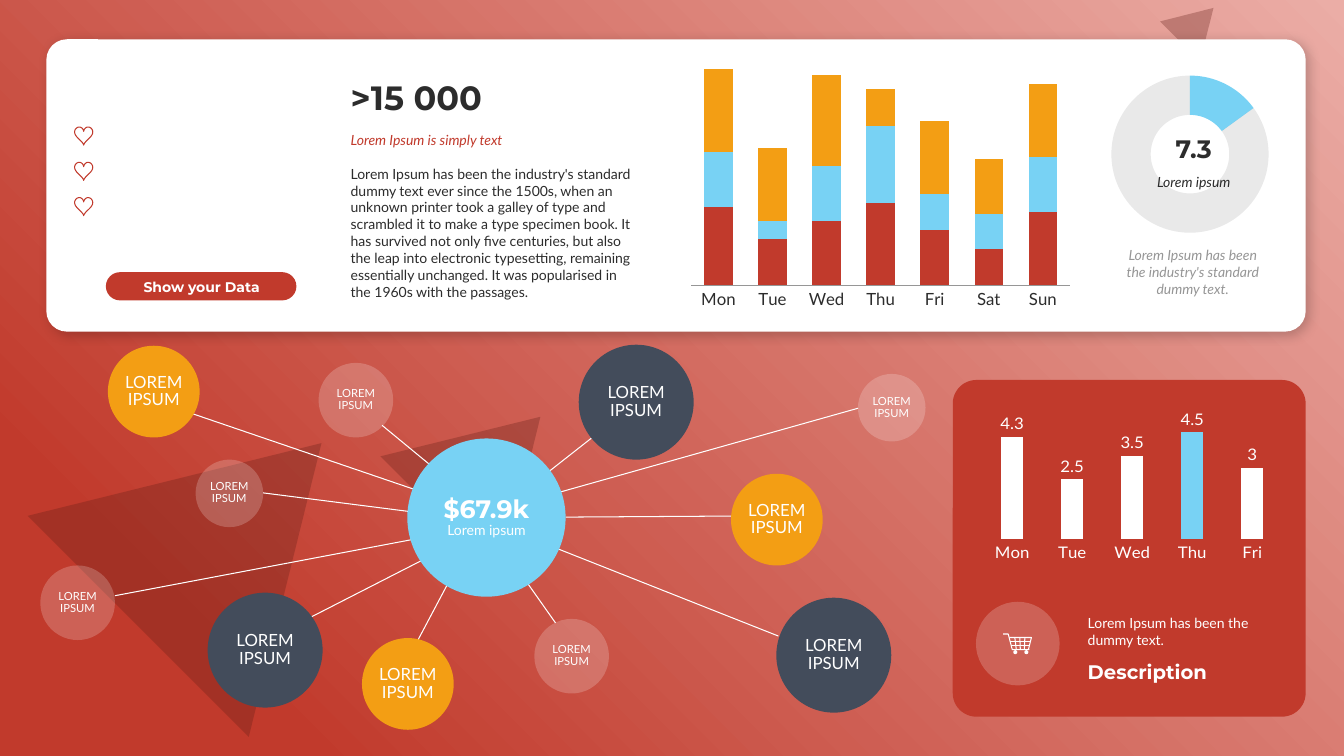
"""Build a red dashboard slide with a hub diagram and three charts."""
from dataclasses import dataclass
from math import cos, pi, sin

from lxml import etree
from pptx import Presentation
from pptx.chart.chart import Chart
from pptx.chart.data import CategoryChartData
from pptx.dml.color import RGBColor
from pptx.enum.chart import XL_CHART_TYPE, XL_LABEL_POSITION, XL_TICK_MARK
from pptx.enum.shapes import MSO_CONNECTOR, MSO_SHAPE
from pptx.enum.text import MSO_ANCHOR, MSO_AUTO_SIZE, PP_ALIGN
from pptx.oxml.ns import qn
from pptx.shapes.autoshape import Shape
from pptx.shapes.shapetree import SlideShapes
from pptx.util import Inches, Pt

STACKED, COLUMN, RING = XL_CHART_TYPE.COLUMN_STACKED, XL_CHART_TYPE.COLUMN_CLUSTERED, XL_CHART_TYPE.DOUGHNUT
OUTSIDE, NO_TICK = XL_LABEL_POSITION.OUTSIDE_END, XL_TICK_MARK.NONE
STRAIGHT = MSO_CONNECTOR.STRAIGHT
RECT, ROUND, OVAL, WEDGE = (MSO_SHAPE.RECTANGLE, MSO_SHAPE.ROUNDED_RECTANGLE,
                            MSO_SHAPE.OVAL, MSO_SHAPE.ISOSCELES_TRIANGLE)
TOP, MIDDLE, BOTTOM = MSO_ANCHOR.TOP, MSO_ANCHOR.MIDDLE, MSO_ANCHOR.BOTTOM
LEFT, CENTER = PP_ALIGN.LEFT, PP_ALIGN.CENTER
FIT = MSO_AUTO_SIZE.SHAPE_TO_FIT_TEXT
Box = tuple[float, float, float, float]
Point = tuple[float, float]


@dataclass(frozen=True)
class Theme:
    red: str = "C13A2C"
    rose: str = "EBADA6"
    wine: str = "601D16"
    blue: str = "78D2F4"
    amber: str = "F39E14"
    slate: str = "434C5B"
    ink: str = "2C2C2C"
    gray: str = "969696"
    white: str = "FFFFFF"
    body: str = "Lato"
    head: str = "Montserrat"
    tiny: int = 8
    small: int = 10
    medium: int = 12
    large: int = 14
    big: int = 18
    huge: int = 24
    hair: float = 0.75


T = Theme()


@dataclass(frozen=True)
class Label:
    box: Box
    text: str
    color: str
    size: int = T.small
    bold: bool = False
    italic: bool = False
    align: PP_ALIGN = LEFT
    anchor: MSO_ANCHOR = TOP


@dataclass(frozen=True)
class Kind:
    fill: str
    size: int
    alpha: int = 100


@dataclass(frozen=True)
class Node:
    left: float
    top: float
    width: float
    kind: Kind
    tip: Point
    root: Point


DARK, GOLD, GLASS = Kind(T.slate, T.medium), Kind(T.amber, T.medium), Kind(T.white, T.tiny, 20)
NODES = [
    Node(5.74, 3.42, 1.14, DARK, (5.9, 4.32), (5.34, 4.76)),
    Node(3.16, 3.6, 0.74, GLASS, (3.79, 4.22), (4.36, 4.69)),
    Node(1.07, 3.43, 0.91, GOLD, (1.75, 4.05), (4.27, 4.91)),
    Node(1.94, 4.56, 0.67, GLASS, (2.61, 4.89), (4.18, 5.09)),
    Node(0.4, 5.61, 0.74, GLASS, (1.14, 5.91), (4.21, 5.33)),
    Node(3.59, 6.33, 0.91, GOLD, (4.14, 6.36), (4.5, 5.68)),
    Node(2.06, 5.88, 1.14, DARK, (3.01, 6.16), (4.3, 5.5)),
    Node(7.7, 5.93, 1.14, DARK, (7.72, 6.31), (5.42, 5.4)),
    Node(8.51, 3.71, 0.67, GLASS, (8.51, 4.05), (5.42, 4.92)),
    Node(7.25, 4.7, 0.91, GOLD, (7.26, 5.12), (5.61, 5.13)),
    Node(5.3, 6.14, 0.74, GLASS, (5.51, 6.18), (5.15, 5.67)),
]
STORY = ("Lorem Ipsum has been the industry's standard dummy text ever since the 1500s, when an unknown "
         "printer took a galley of type and scrambled it to make a type specimen book. It has survived not "
         "only five centuries, but also the leap into electronic typesetting, remaining essentially "
         "unchanged. It was popularised in the 1960s with the passages.")
LABELS = [
    Label((3.38, 1.26, 3.02, 0.27), "Lorem Ipsum is simply text", T.red, italic=True),
    Label((3.38, 0.71, 3.02, 0.5), ">15 000", T.ink, T.huge, bold=True, anchor=BOTTOM),
    Label((3.38, 1.59, 3.02, 1.45), STORY, T.ink),
    Label((1.13, 2.71, 1.74, 0.27), "Show your Data", T.white, bold=True, align=CENTER, anchor=MIDDLE),
    Label((11.29, 1.67, 1.1, 0.27), "Lorem ipsum", T.ink, italic=True, align=CENTER),
    Label((11.29, 1.27, 1.1, 0.4), "7.3", T.ink, T.big, bold=True, align=CENTER, anchor=BOTTOM),
    Label((11.03, 2.4, 1.6, 0.61), "Lorem Ipsum has been the industry's standard dummy text.",
          T.gray, italic=True, align=CENTER),
    Label((10.69, 6.05, 2.23, 0.44), "Lorem Ipsum has been the dummy text.", T.white),
    Label((10.69, 6.49, 2.23, 0.34), "Description", T.white, T.large, bold=True, anchor=BOTTOM),
]
WEDGES = [(0.73, 4.02, 3.1, 2.57), (4.02, 3.93, 1.69, 1.4), (11.59, 0.01, 0.56, 0.47)]
CART = [[(0, 0.01), (0.05, 0.01), (0.09, 0.165), (0.26, 0.165)],
        [(0.06, 0.045), (0.28, 0.045), (0.25, 0.165)],
        [(0.07, 0.085), (0.27, 0.085)], [(0.08, 0.125), (0.26, 0.125)],
        *[[(0.115 + 0.05 * i, 0.045), (0.13 + 0.04 * i, 0.165)] for i in range(3)]]


def veil(color: etree.ElementBase, pct: int) -> None:
    """Make a colour element partly transparent."""
    etree.SubElement(color, qn("a:alpha")).set("val", str(pct * 1000))


def draw(shapes: SlideShapes, form: MSO_SHAPE, box: Box, fill: str, alpha: int = 100) -> Shape:
    """Add a flat preset shape without outline."""
    item = shapes.add_shape(form, *map(Inches, box))
    item.shadow.inherit = False
    item.line.fill.background()
    item.fill.solid()
    item.fill.fore_color.rgb = RGBColor.from_string(fill)
    if alpha < 100:
        veil(item.element.spPr.find(qn("a:solidFill"))[0], alpha)
    return item


def backdrop(shapes: SlideShapes) -> None:
    """Add the radial backdrop and its dark triangles."""
    base = draw(shapes, RECT, (0, 0, 13.33, 7.5), T.red)
    base.fill.gradient()
    for stop, tint, place in zip(base.fill.gradient_stops, (T.rose, T.red), (0, 0.85)):
        stop.color.rgb, stop.position = RGBColor.from_string(tint), place
    grad = base.element.spPr.find(qn("a:gradFill"))
    grad.remove(grad.find(qn("a:lin")))
    ring = etree.SubElement(grad, qn("a:path"), {"path": "circle"})
    etree.SubElement(ring, qn("a:fillToRect"), {"l": "100000", "b": "100000"})
    etree.SubElement(grad, qn("a:tileRect"), {"t": "-100000", "r": "-100000"})
    for box in WEDGES:
        draw(shapes, WEDGE, box, T.wine, 30).rotation = 45


def card(shapes: SlideShapes, box: Box, fill: str, bend: float) -> Shape:
    """Add a rounded card."""
    item = draw(shapes, ROUND, box, fill)
    item.adjustments[0] = bend
    return item


def shade(item: Shape) -> None:
    """Give a card its soft shadow."""
    drop = etree.SubElement(item.element.spPr.find(qn("a:effectLst")), qn("a:outerShdw"),
                            {"blurRad": str(Pt(8)), "dist": str(Pt(3)), "dir": "2700000",
                             "algn": "tl", "rotWithShape": "0"})
    veil(etree.SubElement(drop, qn("a:srgbClr"), {"val": "000000"}), 20)


def write(shapes: SlideShapes, label: Label) -> None:
    """Add a text box."""
    box = shapes.add_textbox(*map(Inches, label.box))
    frame = box.text_frame
    frame.word_wrap, frame.auto_size, frame.vertical_anchor = True, FIT, label.anchor
    frame.text = label.text
    frame.paragraphs[0].alignment = label.align
    font = frame.paragraphs[0].runs[0].font
    font.name = T.head if label.bold else T.body
    font.size, font.bold, font.italic = Pt(label.size), label.bold, label.italic
    font.color.rgb = RGBColor.from_string(label.color)


def bubble(shapes: SlideShapes, box: Box, kind: Kind, rows: list[tuple[str, str, int, bool]]) -> None:
    """Add a circle with centred rows of text."""
    frame = draw(shapes, OVAL, box, kind.fill, kind.alpha).text_frame
    frame.word_wrap, frame.vertical_anchor = True, MIDDLE
    frame.margin_left = frame.margin_right = 0
    frame.text = "\n".join(row[0] for row in rows)
    for para, (_, face, size, bold) in zip(frame.paragraphs, rows):
        para.alignment, para.line_spacing = CENTER, 0.89
        font = para.runs[0].font
        font.name, font.size, font.bold = face, Pt(size), bold
        font.color.rgb = RGBColor.from_string(T.white)


def web(shapes: SlideShapes) -> None:
    """Add the hub, its spokes and its nodes."""
    for node in NODES:
        spoke = shapes.add_connector(STRAIGHT, *map(Inches, node.root + node.tip))
        spoke.line.color.rgb, spoke.line.width = RGBColor.from_string(T.white), Pt(T.hair)
        etree.SubElement(spoke.element.spPr, qn("a:effectLst"))
    for node in NODES:
        bubble(shapes, (node.left, node.top, node.width, node.width), node.kind,
               [("LOREM IPSUM", T.body, node.kind.size, False)])
    bubble(shapes, (4.04, 4.35, 1.57, 1.57), Kind(T.blue, T.big),
           [("$67.9k", T.head, T.big, True), ("Lorem ipsum", T.body, T.small, False)])


def trace(shapes: SlideShapes, paths: list[list[Point]], color: str, close: bool = False) -> None:
    """Add an unfilled outline made of one or more paths."""
    routes = [[(Inches(x), Inches(y)) for x, y in path] for path in paths]
    pen = shapes.build_freeform(*routes[0][0], scale=1.0)
    for route in routes:
        pen.move_to(*route[0])
        pen.add_line_segments(route[1:], close=close)
    item = pen.convert_to_shape()
    item.shadow.inherit = False
    item.fill.background()
    item.line.color.rgb, item.line.width = RGBColor.from_string(color), Pt(T.hair)


def heart(shapes: SlideShapes, left: float, top: float) -> None:
    """Add a heart outline."""
    turns = [2 * pi * i / 48 for i in range(48)]
    rim = [(left + 0.1 + 0.09 * sin(t) ** 3,
            top + 0.01 + (12 - 13 * cos(t) + 5 * cos(2 * t) + 2 * cos(3 * t) + cos(4 * t)) * 0.18 / 29)
           for t in turns]
    trace(shapes, [rim], T.red, close=True)


def cart(shapes: SlideShapes, left: float, top: float) -> None:
    """Add a shopping cart icon."""
    trace(shapes, [[(left + x, top + y) for x, y in path] for path in CART], T.white)
    for x in (0.1, 0.21):
        draw(shapes, OVAL, (left + x, top + 0.17, 0.04, 0.04), T.white)


def plot(shapes: SlideShapes, form: XL_CHART_TYPE, box: Box, cats: list[str],
         rows: list[list[float]], size: int, color: str) -> Chart:
    """Add a chart with plain text and no legend."""
    data = CategoryChartData()
    data.categories = cats
    for i, row in enumerate(rows, 1):
        data.add_series(f"Series {i}", row)
    chart = shapes.add_chart(form, *map(Inches, box), data).chart
    chart.has_legend = chart.has_title = False
    chart.font.name, chart.font.size = T.body, Pt(size)
    chart.font.color.rgb = RGBColor.from_string(color)
    return chart


def bars(chart: Chart, gap: int, tints: list[str]) -> None:
    """Style a column chart."""
    chart.value_axis.visible = chart.value_axis.has_major_gridlines = False
    chart.category_axis.major_tick_mark = NO_TICK
    chart.plots[0].gap_width, chart.plots[0].vary_by_categories = gap, False
    for row, tint in zip(chart.plots[0].series, tints):
        row.format.fill.solid()
        row.format.fill.fore_color.rgb = RGBColor.from_string(tint)


def tint(chart: Chart, index: int, color: str) -> None:
    """Colour one point of the first series."""
    fill = chart.plots[0].series[0].points[index].format.fill
    fill.solid()
    fill.fore_color.rgb = RGBColor.from_string(color)


def charts(shapes: SlideShapes) -> None:
    """Add the stacked, ring and column charts."""
    days = ["Mon", "Tue", "Wed", "Thu", "Fri", "Sat", "Sun"]
    week = plot(shapes, STACKED, (6.78, 0.51, 3.91, 2.61), days,
                [[86, 50, 70, 90, 60, 40, 80], [60, 20, 60, 84, 40, 38, 60],
                 [90, 80, 100, 40, 80, 60, 80]], T.medium, T.ink)
    bars(week, 90, [T.red, T.blue, T.amber])
    week.plots[0].overlap = 100
    week.category_axis.format.line.color.rgb = RGBColor.from_string(T.gray)
    ring = plot(shapes, RING, (10.96, 0.75, 1.72, 1.56), ["1", "2"], [[15, 85]], T.small, T.ink)
    tint(ring, 0, T.blue)
    tint(ring, 1, T.ink)
    veil(ring.element.xpath(".//c:dPt//a:srgbClr")[-1], 10)
    ring.element.xpath(".//c:holeSize")[0].set("val", "80")
    area = ring.element.xpath(".//c:plotArea")[0]
    for old in area.findall(qn("c:layout")):
        area.remove(old)
    layout = etree.Element(qn("c:layout"))
    area.insert(0, layout)
    manual = etree.SubElement(layout, qn("c:manualLayout"))
    for key, value in (("layoutTarget", "inner"), ("xMode", "edge"), ("yMode", "edge"),
                       ("x", "0.03"), ("y", "0"), ("w", "0.92"), ("h", "1")):
        etree.SubElement(manual, qn(f"c:{key}")).set("val", value)
    work = plot(shapes, COLUMN, (9.68, 4.06, 3.1, 1.54), days[:5],
                [[4.3, 2.5, 3.5, 4.5, 3]], T.medium, T.white)
    bars(work, 171, [T.white])
    work.category_axis.format.line.fill.background()
    tint(work, 3, T.blue)
    work.plots[0].has_data_labels = True
    marks = work.plots[0].data_labels
    marks.show_value, marks.position = True, OUTSIDE


def main() -> None:
    """Build and save the slide."""
    deck = Presentation()
    deck.slide_width, deck.slide_height = Inches(13.33), Inches(7.5)
    shapes = deck.slides.add_slide(deck.slide_layouts[6]).shapes
    backdrop(shapes)
    shade(card(shapes, (0.46, 0.39, 12.49, 2.9), T.white, 0.07))
    for i in range(3):
        heart(shapes, 0.73, 1.25 + 0.35 * i)
    card(shapes, (1.05, 2.7, 1.89, 0.28), T.red, 0.5)
    web(shapes)
    card(shapes, (9.45, 3.77, 3.5, 3.34), T.red, 0.07)
    draw(shapes, OVAL, (9.68, 5.97, 0.83, 0.83), T.white, 20)
    cart(shapes, 9.95, 6.28)
    charts(shapes)
    for label in LABELS:
        write(shapes, label)
    deck.save("out.pptx")


if __name__ == "__main__":
    main()
